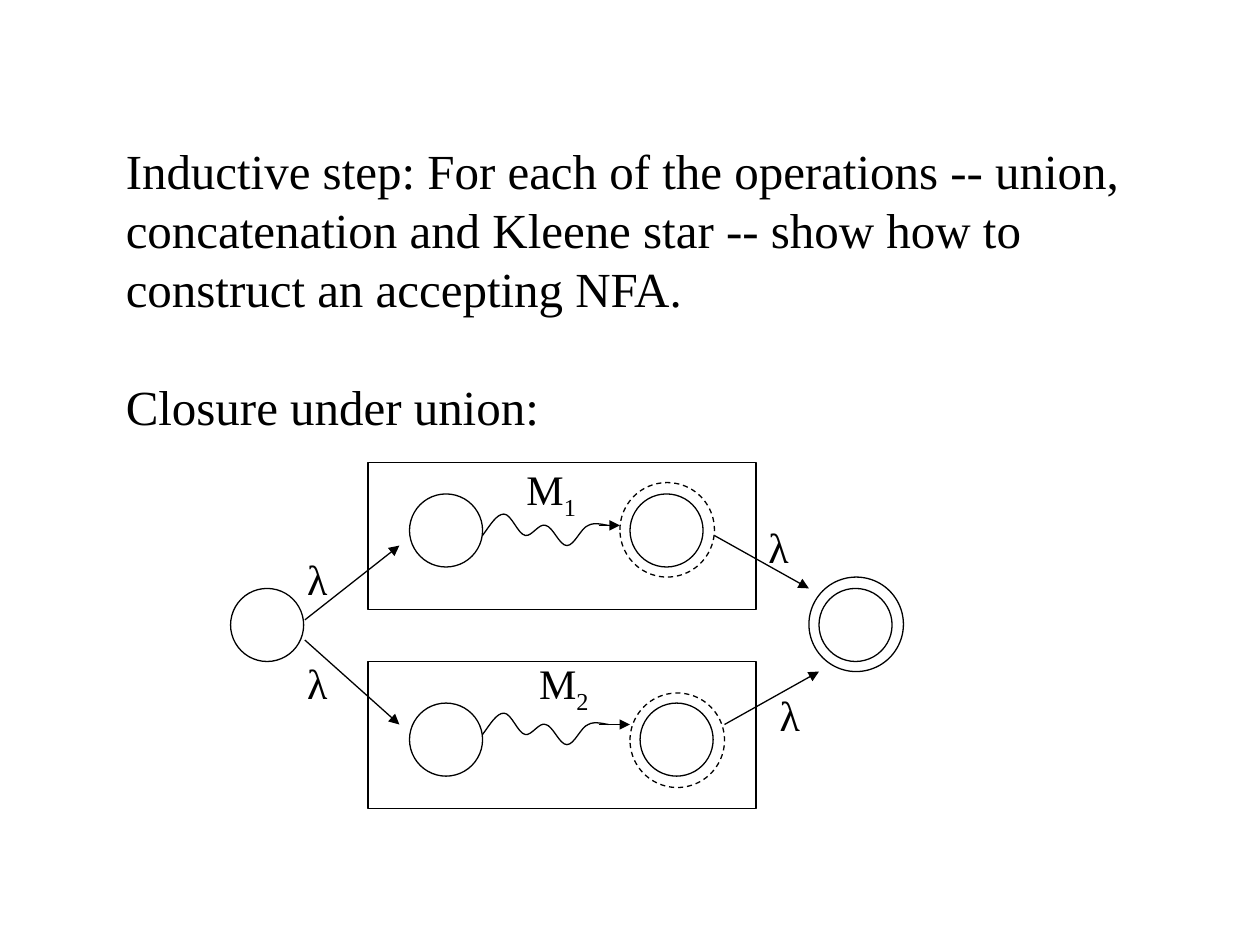
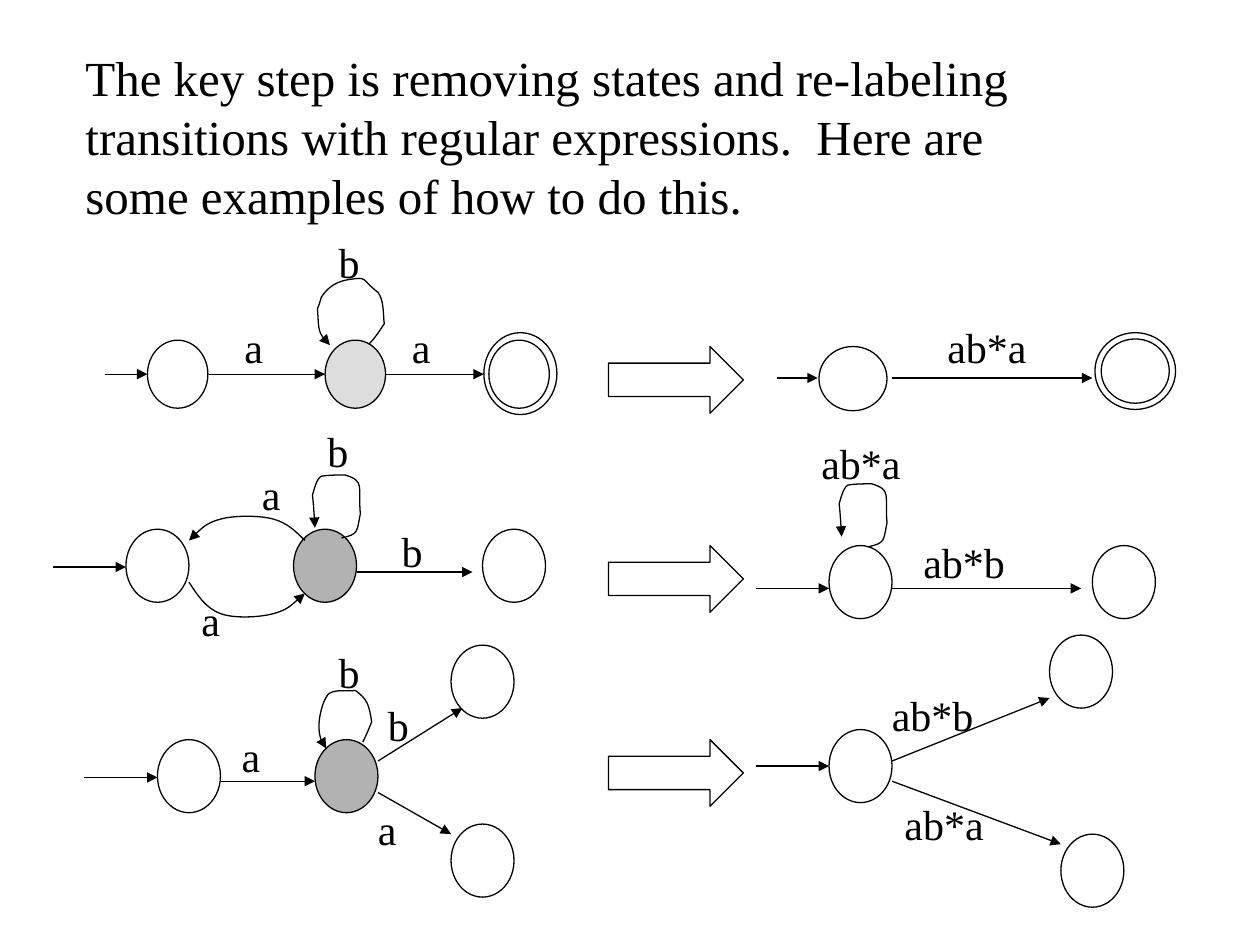
from dataclasses import dataclass

from lxml import etree
from pptx import Presentation
from pptx.dml.color import RGBColor
from pptx.enum.dml import MSO_LINE
from pptx.enum.shapes import MSO_CONNECTOR, MSO_SHAPE
from pptx.enum.text import MSO_AUTO_SIZE
from pptx.oxml.ns import qn
from pptx.util import Pt

ELLIPSE = MSO_SHAPE.OVAL
RECTANGLE = MSO_SHAPE.RECTANGLE
RIGHT_ARROW = MSO_SHAPE.RIGHT_ARROW
STRAIGHT = MSO_CONNECTOR.STRAIGHT
DASH = MSO_LINE.DASH
GROW = MSO_AUTO_SIZE.SHAPE_TO_FIT_TEXT
EMU_PER_PX = 9144
LABEL_WIDTHS = {"λ": 36, "a": 35, "b": 36, "ab*a": 84, "ab*b": 86}


@dataclass(frozen=True)
class Theme:
    font: str = "Times New Roman"
    ink: str = "000000"
    light_state: str = "DDDDDD"
    dark_state: str = "B2B2B2"
    body_size: int = 28
    label_size: int = 24
    line_width: float = 0.75
    blank_line: float = 33.6


def px(length):
    return round(length * EMU_PER_PX)


def shifted(points, dx, dy):
    return [(x + dx, y + dy) for x, y in points]


class Board:
    def __init__(self, presentation, theme):
        self.presentation = presentation
        self.theme = theme
        self.slide = None

    def new_slide(self):
        self.slide = self.presentation.slides.add_slide(self.presentation.slide_layouts[6])

    def draw_line(self, line, arrow=False):
        line.color.rgb = RGBColor.from_string(self.theme.ink)
        line.width = Pt(self.theme.line_width)
        if arrow:
            properties = line._get_or_add_ln()
            etree.SubElement(properties, qn("a:tailEnd"), type="triangle")

    def shape(self, kind, left, top, width, height, fill=None, dashed=False):
        shape = self.slide.shapes.add_shape(kind, px(left), px(top), px(width), px(height))
        shape.shadow.inherit = False
        if fill:
            shape.fill.solid()
            shape.fill.fore_color.rgb = RGBColor.from_string(fill)
        else:
            shape.fill.background()
        self.draw_line(shape.line)
        if dashed:
            shape.line.dash_style = DASH
        return shape

    def state(self, left, top, width=50, height=58, fill=None, dashed=False):
        self.shape(ELLIPSE, left, top, width, height, fill, dashed)

    def block_arrow(self, left, top):
        shape = self.shape(RIGHT_ARROW, left, top, 107, 53)
        shape.adjustments[1] = 0.5

    def arrow(self, x1, y1, x2, y2):
        connector = self.slide.shapes.add_connector(STRAIGHT, px(x1), px(y1), px(x2), px(y2))
        self.draw_line(connector.line, arrow=True)
        etree.SubElement(connector._element.spPr, qn("a:effectLst"))

    def curve(self, points, arrow=True):
        corners = [(px(x), px(y)) for x, y in points]
        builder = self.slide.shapes.build_freeform(*corners[0])
        builder.add_line_segments(corners[1:], close=False)
        shape = builder.convert_to_shape()
        segments = list(shape._element.iter(qn("a:lnTo")))
        for index in range(0, len(segments), 3):
            bezier = etree.Element(qn("a:cubicBezTo"))
            segments[index].addprevious(bezier)
            for segment in segments[index:index + 3]:
                bezier.append(segment[0])
                segment.getparent().remove(segment)
        shape.shadow.inherit = False
        shape.fill.background()
        self.draw_line(shape.line, arrow)

    def format_run(self, run, size):
        run.font.name = self.theme.font
        run.font.size = Pt(size)
        run.font.color.rgb = RGBColor.from_string(self.theme.ink)

    def text(self, left, top, width, height, lines, size, wrap=False):
        box = self.slide.shapes.add_textbox(px(left), px(top), px(width), px(height))
        frame = box.text_frame
        frame.text = "\n".join(lines)
        frame.word_wrap = wrap
        frame.auto_size = GROW
        for paragraph in frame.paragraphs:
            for run in paragraph.runs:
                self.format_run(run, size)
        return frame

    def label(self, left, top, text):
        self.text(left, top, LABEL_WIDTHS[text], 50, [text], self.theme.label_size)

    def machine_label(self, left, top, number):
        size = self.theme.label_size
        frame = self.text(left, top, 59, 56, ["M"], size)
        run = frame.paragraphs[0].add_run()
        run.text = number
        self.format_run(run, size)
        run.font._element.set("baseline", "-25000")


def union_slide(board):
    theme = board.theme
    board.new_slide()
    frame = board.text(90, 107, 808, 244, [
        "Inductive step: For each of the operations -- union,",
        "concatenation and Kleene star -- show how to",
        "construct an accepting NFA.",
        "Closure under union:",
    ], theme.body_size)
    frame.paragraphs[-1].space_before = Pt(theme.blank_line)

    for left, top in ((183, 467), (650, 467), (508, 558), (500, 392), (325, 558), (325, 392)):
        board.state(left, top, 58, 58)
    for top in (367, 525):
        board.shape(RECTANGLE, 292, top, 308, 117)
    board.state(642, 458, 75, 75)
    for left, top in ((492, 383), (500, 550)):
        board.state(left, top, 75, 75, dashed=True)

    for ends in ((242, 492, 317, 433), (242, 508, 317, 575),
                 (567, 425, 642, 467), (575, 575, 650, 533)):
        board.arrow(*ends)
    board.machine_label(408, 363, "1")
    board.machine_label(418, 517, "2")
    for left, top in ((234, 517), (234, 434), (609, 542), (600, 409)):
        board.label(left, top, "λ")

    wave = [(383, 425), (389, 417), (394, 408), (400, 408), (406, 408), (411, 424),
            (417, 425), (422, 426), (428, 415), (433, 417), (439, 418), (444, 433),
            (450, 433), (456, 433), (461, 419), (467, 417), (472, 414), (481, 417),
            (483, 417)]
    for drop, arrow_end in ((0, 492), (158, 500)):
        board.curve(shifted(wave, 0, drop), arrow=False)
        board.arrow(475, 417 + drop, arrow_end, 417 + drop)


def state_removal_slide(board):
    theme = board.theme
    board.new_slide()
    board.text(58, 33, 858, 150, [
        "The key step is removing states and re-labeling",
        "transitions with regular expressions.  Here are",
        "some examples of how to do this.",
    ], theme.body_size, wrap=True)

    for left, fill in ((117, None), (258, theme.light_state), (388, None)):
        board.state(left, 270, 48, 54, fill)
    board.state(384, 264, 58, 65)
    board.state(650, 275, 54, 51)
    board.state(874, 269, 54, 51)
    board.state(869, 264, 64, 61)
    for left, top in ((100, 420), (383, 420), (867, 433), (658, 433),
                      (125, 587), (358, 654), (358, 512),
                      (842, 662), (833, 504), (658, 579)):
        board.state(left, top)
    for left, top in ((233, 420), (250, 587)):
        board.state(left, top, fill=theme.dark_state)
    for top in (275, 433, 587):
        board.block_arrow(483, top)

    for ends in ((83, 297, 117, 297), (166, 297, 258, 297), (306, 297, 384, 297),
                 (617, 300, 649, 300), (708, 300, 867, 300),
                 (42, 450, 100, 450), (283, 454, 375, 454),
                 (600, 467, 658, 467), (708, 467, 858, 467),
                 (67, 617, 125, 617), (175, 620, 250, 620),
                 (300, 604, 367, 562), (300, 629, 358, 662),
                 (600, 608, 658, 608), (708, 604, 833, 554), (708, 620, 842, 670)):
        board.arrow(*ends)

    top_loop = [(293, 273), (298, 268), (301, 263), (305, 257), (304, 249), (305, 239),
                (300, 232), (298, 231), (291, 224), (290, 223), (289, 221), (285, 221),
                (285, 221), (272, 222), (263, 224), (255, 236), (253, 243), (254, 240),
                (252, 245), (253, 260), (252, 265), (262, 274)]
    middle_loop = [(271, 427), (285, 424), (283, 422), (286, 408), (284, 386), (290, 382),
                   (274, 377), (268, 377), (261, 377), (255, 378), (251, 380), (249, 390),
                   (248, 393), (249, 402), (250, 419), (250, 419)]
    bottom_loop = [(288, 589), (291, 583), (293, 578), (295, 573), (293, 560), (292, 555),
                   (282, 548), (275, 549), (268, 547), (262, 550), (259, 551), (256, 560),
                   (256, 560), (253, 570), (251, 586), (259, 594)]
    forward_arc = [(150, 462), (157, 473), (164, 483), (175, 487), (186, 491), (206, 490),
                   (217, 487), (228, 484), (235, 477), (242, 471)]
    backward_arc = [(242, 429), (235, 422), (228, 415), (217, 412), (206, 409), (186, 409),
                    (175, 412), (164, 415), (157, 422), (150, 429)]
    for points in (top_loop, middle_loop, shifted(middle_loop, 418, 7), bottom_loop,
                   forward_arc, backward_arc):
        board.curve(points)

    for text, places in {
        "a": ((184, 250), (317, 250), (198, 367), (150, 467), (182, 575), (290, 633)),
        "b": ((259, 183), (250, 333), (309, 412), (259, 508), (298, 550)),
        "ab*a": ((742, 250), (642, 342), (708, 629)),
        "ab*b": ((723, 421), (698, 542)),
    }.items():
        for left, top in places:
            board.label(left, top, text)


def main():
    presentation = Presentation()
    presentation.slide_width = px(1000)
    presentation.slide_height = px(750)
    board = Board(presentation, Theme())
    union_slide(board)
    state_removal_slide(board)
    presentation.save("out.pptx")


if __name__ == "__main__":
    main()
